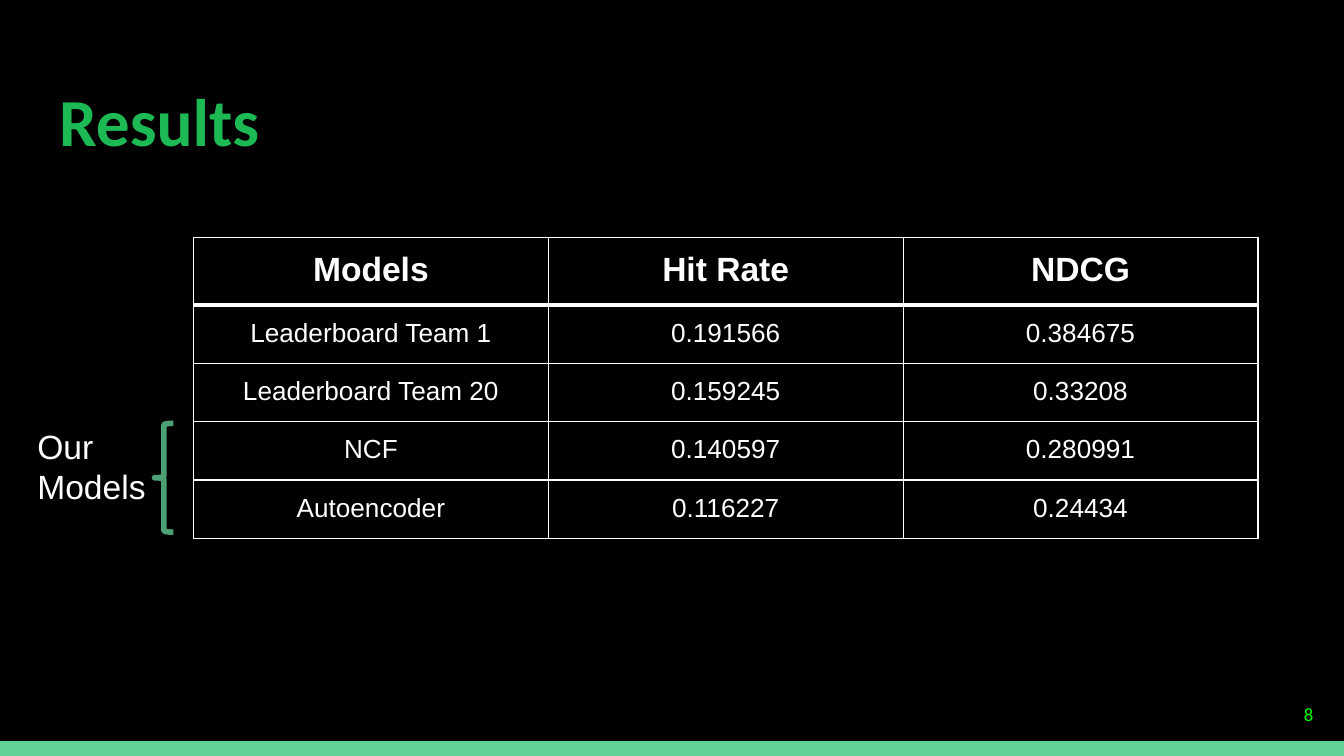
import lxml.etree
import pptx
import pptx.dml.color
import pptx.enum.shapes
import pptx.enum.text
import pptx.oxml.ns
import pptx.util

WIDTH = 10
HEIGHT = WIDTH * 9 / 16
WHITE, GREEN = "FFFFFF", "1DB954"
ALIGN = pptx.enum.text.PP_ALIGN
ANCHOR = pptx.enum.text.MSO_ANCHOR
SHAPE = pptx.enum.shapes.MSO_SHAPE

RESULTS = [
    ("Models", "Hit Rate", "NDCG"),
    ("Leaderboard Team 1", "0.191566", "0.384675"),
    ("Leaderboard Team 20", "0.159245", "0.33208"),
    ("NCF", "0.140597", "0.280991"),
    ("Autoencoder", "0.116227", "0.24434"),
]


def rgb(color):
    return pptx.dml.color.RGBColor.from_string(color)


def inches(*lengths):
    return [pptx.util.Inches(length) for length in lengths]


def write(frame, text, size, color, font="Arial", bold=False,
          align=ALIGN.LEFT, anchor=ANCHOR.TOP):
    frame.word_wrap = True
    frame.vertical_anchor = anchor
    frame.margin_left = frame.margin_right = pptx.util.Inches(0.1)
    frame.margin_top = frame.margin_bottom = pptx.util.Inches(0.1)
    paragraph = frame.paragraphs[0]
    paragraph.alignment = align
    run = paragraph.add_run()
    run.text = text
    run.font.name = font
    run.font.size = pptx.util.Pt(size)
    run.font.bold = bold
    run.font.color.rgb = rgb(color)


def add_title(slide, text, box):
    title = slide.shapes.title
    title.left, title.top, title.width, title.height = inches(*box)
    write(title.text_frame, text, 36, GREEN, "Calibri", bold=True)


def add_text(slide, text, box, size, color, **style):
    shape = slide.shapes.add_textbox(*inches(*box))
    write(shape.text_frame, text, size, color, **style)


def add_shape(slide, kind, box, fill=None, line=None, line_width=3):
    shape = slide.shapes.add_shape(kind, *inches(*box))
    shape.shadow.inherit = False
    if fill:
        shape.fill.solid()
        shape.fill.fore_color.rgb = rgb(fill)
    else:
        shape.fill.background()
    if line:
        shape.line.color.rgb = rgb(line)
        shape.line.width = pptx.util.Pt(line_width)
    else:
        shape.line.fill.background()


def set_border(cell, side, width):
    qualified = pptx.oxml.ns.qn
    line = lxml.etree.SubElement(cell._tc.get_or_add_tcPr(), qualified(f"a:ln{side}"),
                                 w=str(pptx.util.Pt(width)))
    fill = lxml.etree.SubElement(line, qualified("a:solidFill"))
    lxml.etree.SubElement(fill, qualified("a:srgbClr"), val=WHITE)


def add_results_table(slide, rows, left, top, column_width, row_height, frame_size):
    columns = len(rows[0])
    frame = slide.shapes.add_table(len(rows), columns, *inches(
        left, top, columns * column_width, len(rows) * row_height))
    table = frame.table
    table.first_row = table.horz_banding = False
    for row, values in enumerate(rows):
        header = row == 0
        for column, value in enumerate(values):
            cell = table.cell(row, column)
            cell.margin_left = cell.margin_right = pptx.util.Inches(0.1)
            cell.margin_top = cell.margin_bottom = pptx.util.Inches(0.1)
            write(cell.text_frame, value, 18 if header else 14, WHITE,
                  bold=header, align=ALIGN.CENTER)
            # The rule under the header is heavier than the others
            heavy_side = {0: "B", 1: "T"}.get(row)
            for side in "LRTB":
                set_border(cell, side, 2.25 if side == heavy_side else 0.75)
            cell.fill.background()
    # Columns and rows keep their own sizes inside the square frame
    frame.width = frame.height = pptx.util.Inches(frame_size)


def main():
    presentation = pptx.Presentation()
    presentation.slide_width, presentation.slide_height = inches(WIDTH, HEIGHT)
    slide = presentation.slides.add_slide(presentation.slide_layouts[5])
    slide.background.fill.solid()
    slide.background.fill.fore_color.rgb = rgb("000000")

    # Bottom band, title and page number
    band = 0.11
    add_shape(slide, SHAPE.RECTANGLE, (0, HEIGHT - band, WIDTH, band), fill="63D297")
    margin = 0.34
    add_title(slide, "Results", (margin, 0.49, WIDTH - 2 * margin, 0.63))
    add_text(slide, "8", (9.27, 5.1, 0.6, 0.43), 10, "00FF00", font="Calibri",
             align=ALIGN.RIGHT, anchor=ANCHOR.MIDDLE)

    # Results, with a brace around our own models
    add_results_table(slide, RESULTS, 1.44, 1.77, 2.64, 5 / 12, 3.28)
    add_shape(slide, SHAPE.LEFT_BRACE, (1.15, 3.15, 0.14, 0.81), line="4BA173")
    add_text(slide, "Our Models", (0.18, 3.07, 1.04, 1.04), 18, WHITE)

    presentation.save("out.pptx")


if __name__ == "__main__":
    main()
